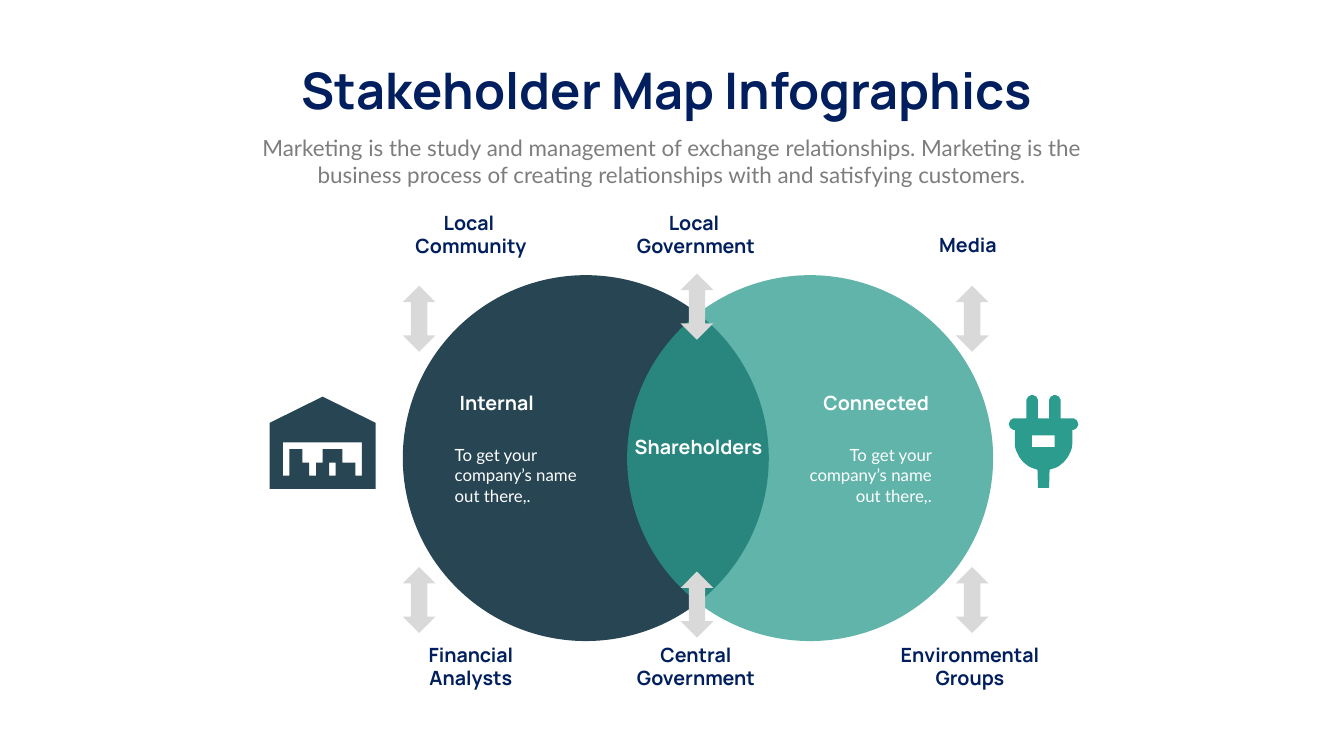
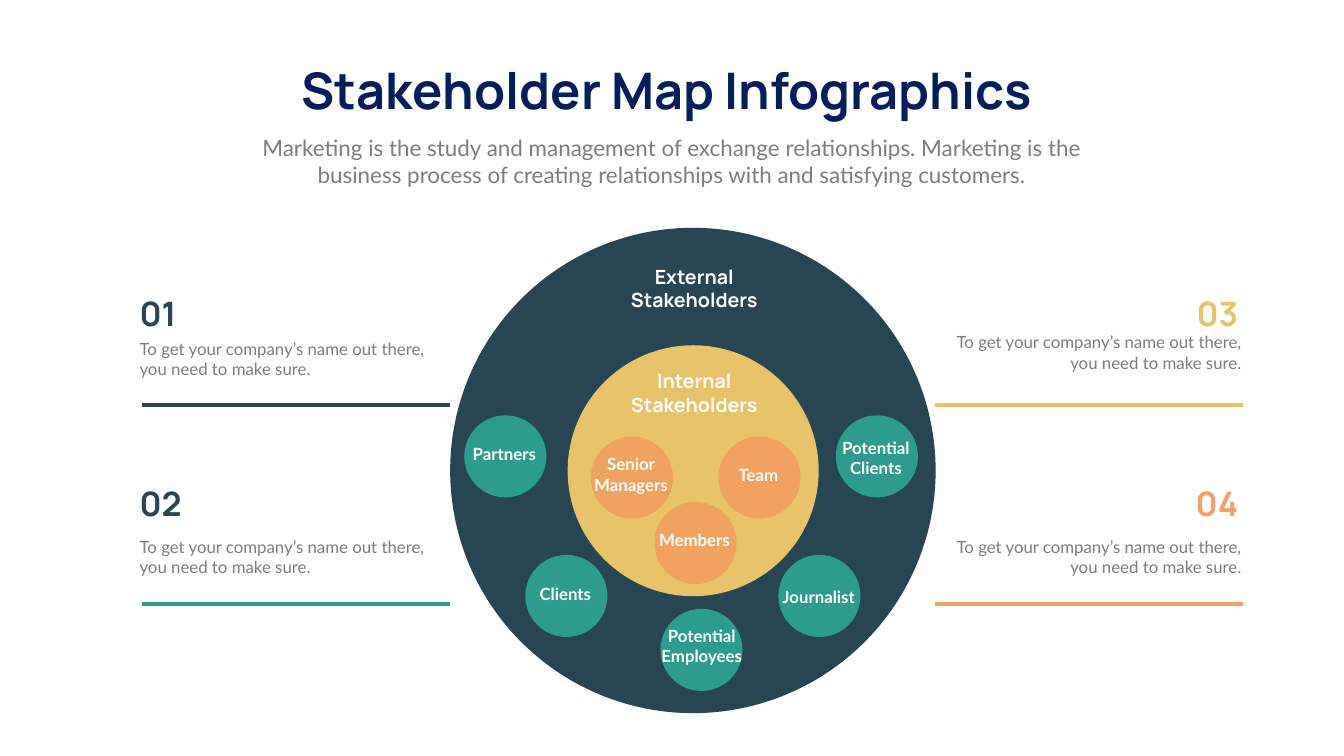
import math

import pptx
import pptx.dml.color
import pptx.enum.shapes
import pptx.enum.text
import pptx.oxml.ns
import pptx.util
from lxml import etree

EMU_PER_PX = 9144
NAVY, SLATE, TEAL = "011F5E", "274553", "2B9C8E"
GOLD, ORANGE, GREY = "E8C369", "F2A260", "7E7C7F"
SILVER, WHITE = "D9D9D9", "FFFFFF"
HEADING_FONT, BODY_FONT = "Manrope", "Lato"
SHAPES = pptx.enum.shapes.MSO_SHAPE
LEFT = pptx.enum.text.PP_ALIGN.LEFT
CENTER = pptx.enum.text.PP_ALIGN.CENTER
RIGHT = pptx.enum.text.PP_ALIGN.RIGHT

TITLE = "Stakeholder Map Infographics "
SUBTITLE = (
    "Marketing is the study and management of exchange relationships. Marketing is the "
    "business process of creating relationships with and satisfying customers."
)


def px(length):
    return pptx.util.Emu(length * EMU_PER_PX)


def rgb(color):
    return pptx.dml.color.RGBColor.from_string(color)


def paint(shape, color, alpha=None):
    shape.shadow.inherit = False
    shape.fill.solid()
    shape.fill.fore_color.rgb = rgb(color)
    shape.line.fill.background()
    if alpha is not None:
        tint = shape.fill._xPr.find(".//" + pptx.oxml.ns.qn("a:srgbClr"))
        etree.SubElement(tint, pptx.oxml.ns.qn("a:alpha"), val=str(alpha * 1000))


def add_preset(slide, preset, left, top, width, height, color, alpha=None):
    shape = slide.shapes.add_shape(preset, px(left), px(top), px(width), px(height))
    paint(shape, color, alpha)
    return shape


def add_circle(slide, left, top, diameter, color, alpha=None):
    return add_preset(slide, SHAPES.OVAL, left, top, diameter, diameter, color, alpha)


def add_text(slide, text, left, top, width, height, size, color,
             font=BODY_FONT, bold=False, align=CENTER, wrap=True):
    box = slide.shapes.add_textbox(px(left), px(top), px(width), px(height))
    frame = box.text_frame
    frame.word_wrap = wrap
    frame.auto_size = pptx.enum.text.MSO_AUTO_SIZE.SHAPE_TO_FIT_TEXT
    frame.text = text
    for paragraph in frame.paragraphs:
        paragraph.alignment = align
        for run in paragraph.runs:
            run.font.name = font
            run.font.size = pptx.util.Pt(size)
            run.font.bold = bold
            run.font.color.rgb = rgb(color)


def add_heading(slide, text, left, top, width, height, color, size=28, align=CENTER, wrap=True):
    add_text(slide, text, left, top, width, height, size, color, HEADING_FONT, True, align, wrap)


def add_outline(slide, left, top, contours, color):
    builder = slide.shapes.build_freeform(*contours[0][0], scale=EMU_PER_PX)
    builder.add_line_segments(contours[0][1:], close=True)
    for contour in contours[1:]:
        builder.move_to(*contour[0])
        builder.add_line_segments(contour[1:], close=True)
    paint(builder.convert_to_shape(px(left), px(top)), color)


def arc(center_x, center_y, radius, start, end, steps=12):
    angles = [math.radians(start + (end - start) * step / steps) for step in range(steps + 1)]
    return [(center_x + radius * math.cos(a), center_y + radius * math.sin(a)) for a in angles]


def add_header(slide):
    add_heading(slide, TITLE, 530, 112, 1606, 131, NAVY, 72, wrap=False)
    add_text(slide, SUBTITLE, 458, 261, 1749, 118, 32, GREY)


def add_warehouse(slide, left, top):
    walls = [(105, 0), (0, 52), (0, 183), (210, 183), (210, 52)]
    box_gap = [(118, 157), (118, 131), (131, 131), (131, 157)]
    doorway = [
        (170, 157), (170, 131), (144, 131), (144, 104), (105, 104), (105, 131),
        (92, 131), (92, 157), (78, 157), (78, 131), (65, 131), (65, 104),
        (39, 104), (39, 157), (26, 157), (26, 91), (183, 91), (183, 157),
    ]
    add_outline(slide, left, top, [walls, box_gap, doorway], SLATE)


def add_plug(slide, left, top):
    width = 138
    prong = [(80, 46)] + arc(91.5, 11.5, 11.5, 180, 360) + [(103, 46)]
    shoulder = arc(126, 57.5, 11.5, -90, 90)
    body = arc(69, 92, 57, 0, 78) + [(80, 184)]
    right_half = prong + shoulder + body
    left_half = [(width - x, y) for x, y in reversed(right_half)]
    window = [(91, 103), (46, 103), (46, 80), (91, 80)]
    add_outline(slide, left, top, [right_half + left_half, window], TEAL)


def add_venn(slide, left, top):
    add_circle(slide, left, top, 726, SLATE)
    add_circle(slide, left + 445, top, 726, TEAL, 75)

    for text, x, y, width, height in [
        ("Local \nCommunity", -6, -133, 282, 104),
        ("Local \nGovernment", 418, -133, 327, 104),
        ("Media", 980, -89, 282, 57),
        ("Financial Analysts", -6, 724, 282, 104),
        ("Central\nGovernment", 418, 724, 327, 104),
        ("Environmental\nGroups", 932, 724, 386, 104),
    ]:
        add_heading(slide, text, left + x, top + y, width, height, NAVY)

    for text, x, y, width, align in [
        ("Internal", 103, 224, 282, LEFT),
        ("Shareholders", 415, 312, 343, CENTER),
        ("Connected", 798, 224, 282, CENTER),
    ]:
        add_heading(slide, text, left + x, top + y, width, 57, WHITE, align=align)

    for x, align in [(93, LEFT), (778, RIGHT)]:
        add_text(slide, "To get your company’s name out there,.",
                 left + x, top + 232 + 100, 281, 131, 24, WHITE, align=align)

    for x, rows in [(-33, (54, 612)), (518, (30, 621)), (1064, (54, 612))]:
        for y in rows:
            arrow = add_preset(slide, SHAPES.LEFT_RIGHT_ARROW, left + x, top + y, 131, 65, SILVER)
            arrow.rotation = 270


def add_rings(slide, left, top):
    add_circle(slide, left, top, 963, SLATE)
    add_circle(slide, left + 233, top + 233, 498, GOLD)
    for text, y in [("External\nStakeholders", 68), ("Internal Stakeholders", 275)]:
        add_heading(slide, text, left + 323, top + y, 322, 104, WHITE)

    for text, color, x, y, label_x, label_y, width, height in [
        ("Senior Managers", ORANGE, 279, 414, -7, 30, 173, 91),
        ("Members", ORANGE, 405, 544, -2, 51, 163, 50),
        ("Team", ORANGE, 532, 414, -2, 51, 163, 50),
        ("Partners", TEAL, 28, 372, -2, 51, 163, 50),
        ("Potential\nClients", TEAL, 765, 372, -2, 40, 163, 91),
        ("Journalist", TEAL, 651, 649, -14, 59, 188, 50),
        ("Potential\nEmployees", TEAL, 417, 756, -12, 28, 188, 91),
        ("Clients", TEAL, 149, 649, -2, 52, 163, 50),
    ]:
        add_circle(slide, left + x, top + y, 163, color)
        add_text(slide, text, left + x + label_x, top + y + label_y,
                 width, height, 24, WHITE, bold=True)


def add_callout(slide, left, top, number, number_color, rule_color, align, text_y, rule_y):
    number_x, text_x = (-14, -14) if align == LEFT else (467, 15)
    add_heading(slide, number, left + number_x, top, 145, 91, number_color, 48, align)
    add_text(slide, "To get your company’s name out there, you need to make sure.",
             left + text_x, top + text_y, 603, 91, 24, GREY, align=align)
    rule = slide.shapes.add_connector(
        pptx.enum.shapes.MSO_CONNECTOR.STRAIGHT,
        px(left), px(top + rule_y), px(left + 612), px(top + rule_y))
    rule.line.color.rgb = rgb(rule_color)
    rule.line.width = pptx.util.Pt(6)
    etree.SubElement(rule._element.spPr, pptx.oxml.ns.qn("a:effectLst"))


def build_venn_slide(slide):
    add_header(slide)
    add_venn(slide, 799, 546)
    add_warehouse(slide, 535, 787)
    add_plug(slide, 2001, 784)


def build_rings_slide(slide):
    add_header(slide)
    add_rings(slide, 893, 452)
    add_callout(slide, 281, 576, "01", SLATE, SLATE, LEFT, 91, 228)
    add_callout(slide, 281, 953, "02", SLATE, TEAL, LEFT, 107, 245)
    add_callout(slide, 1854, 576, "03", GOLD, GOLD, RIGHT, 78, 228)
    add_callout(slide, 1854, 953, "04", ORANGE, ORANGE, RIGHT, 107, 245)


def main():
    deck = pptx.Presentation()
    deck.slide_width, deck.slide_height = px(2666), px(1500)
    for build in (build_venn_slide, build_rings_slide):
        slide = deck.slides.add_slide(deck.slide_layouts[6])
        slide.background.fill.solid()
        slide.background.fill.fore_color.rgb = rgb(WHITE)
        build(slide)
    deck.save("out.pptx")


if __name__ == "__main__":
    main()
